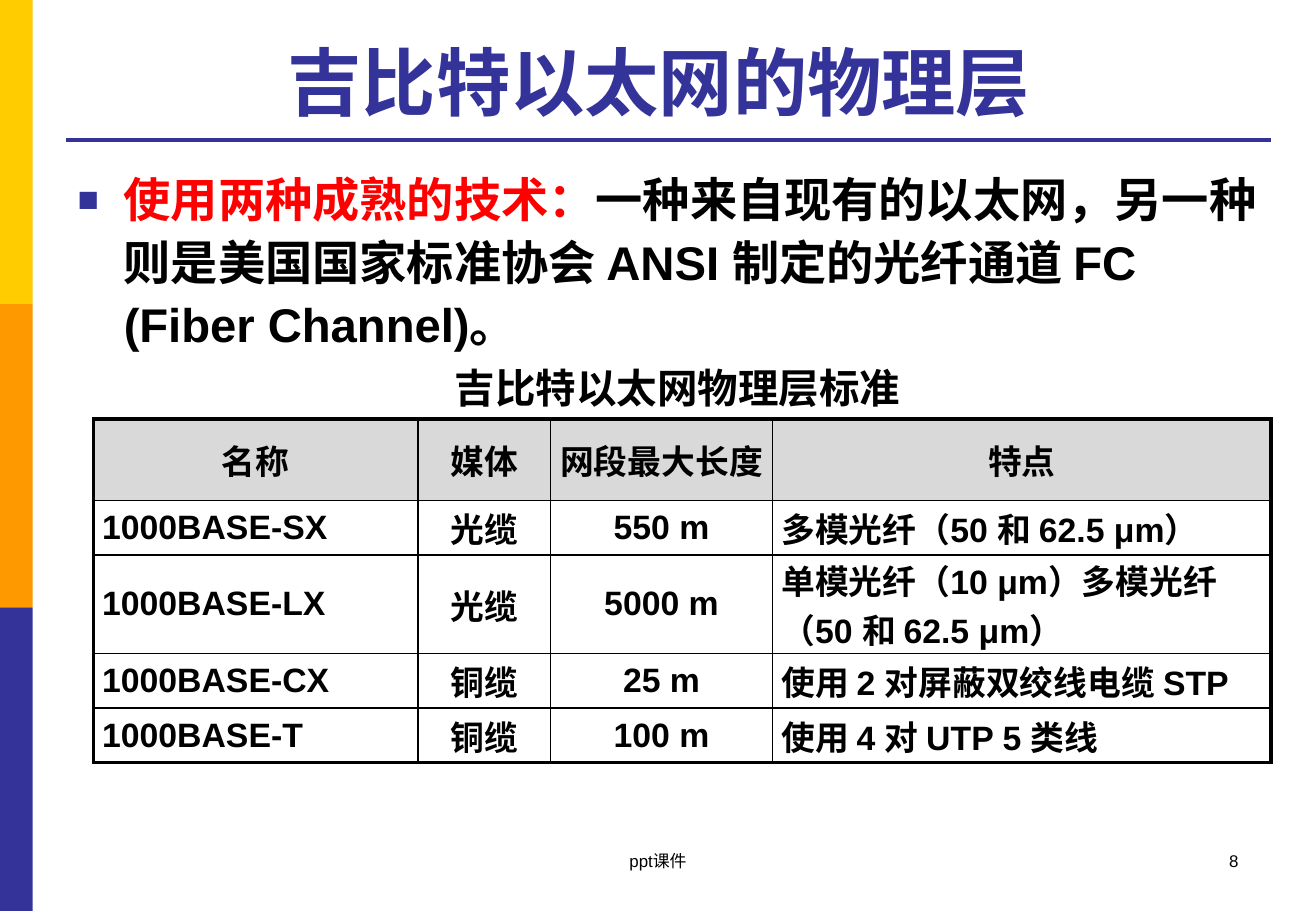
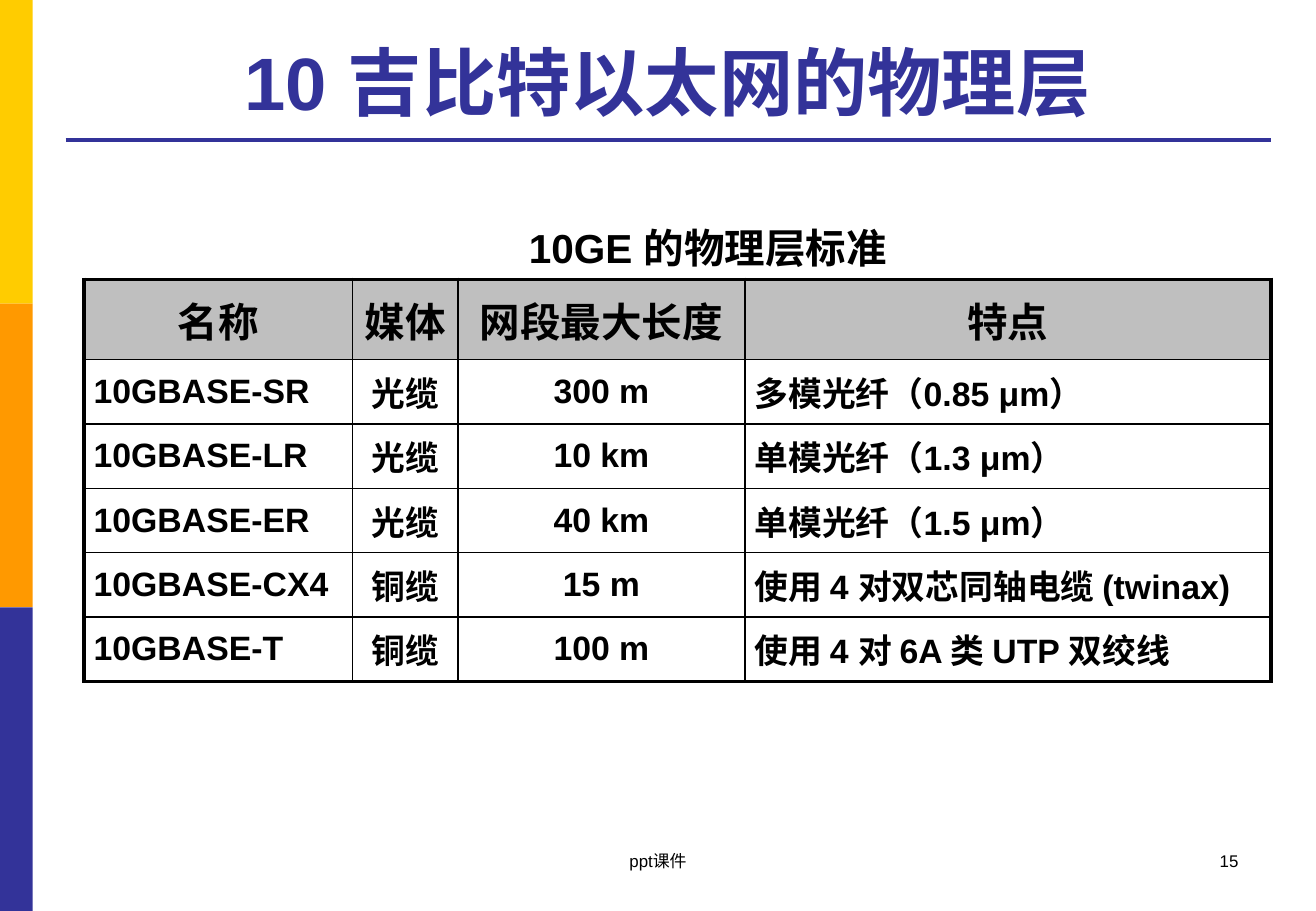
from lxml.etree import SubElement
from pptx import Presentation
from pptx.dml.color import RGBColor
from pptx.enum.shapes import MSO_CONNECTOR, MSO_SHAPE
from pptx.enum.text import MSO_ANCHOR, PP_ALIGN
from pptx.oxml.ns import qn
from pptx.util import Pt

PX = 9144  # EMU per px, 100 px to the inch
SLIDE_W, SLIDE_H = 1083, 750
FONT = "Arial"

BLACK = RGBColor(0x00, 0x00, 0x00)
RED = RGBColor(0xFF, 0x00, 0x00)
NAVY = RGBColor(0x33, 0x33, 0x99)
YELLOW = RGBColor(0xFF, 0xCC, 0x00)
ORANGE = RGBColor(0xFF, 0x99, 0x00)
LIGHT_GREY = RGBColor(0xD9, 0xD9, 0xD9)
MID_GREY = RGBColor(0xBF, 0xBF, 0xBF)

# Content
FOOTER = "ppt课件"
HEADINGS = ("名称", "媒体", "网段最大长度", "特点")
COLUMN_ALIGNS = (PP_ALIGN.LEFT, PP_ALIGN.CENTER, PP_ALIGN.CENTER, PP_ALIGN.LEFT)
SLIDES = [
    {
        "number": "8",
        "title": "吉比特以太网的物理层 ",
        "bullet": [
            ("使用两种成熟的技术：", RED),
            ("一种来自现有的以太网，另一种则是美国国家标准协会 ANSI 制定的光纤通道 FC "
             "(Fiber Channel)。", BLACK),
        ],
        "caption": ("吉比特以太网物理层标准", (282, 293, 551, 51)),
        "standards": [
            ("1000BASE-SX", "光缆", "550 m", "多模光纤（50 和 62.5 μm）"),
            ("1000BASE-LX", "光缆", "5000 m", "单模光纤（10 μm）多模光纤（50 和 62.5 μm）"),
            ("1000BASE-CX", "铜缆", "25 m", "使用 2 对屏蔽双绞线电缆 STP"),
            ("1000BASE-T", "铜缆", "100 m", "使用 4 对 UTP 5 类线"),
        ],
        "origin": (77, 345),
        "widths": (267, 109, 183, 410),
        "heights": (67, 45, 81, 45, 45),
        "heading_size": 20,
        "heading_fill": LIGHT_GREY,
        "margin": 7,
    },
    {
        "number": "15",
        "title": "10 吉比特以太网的物理层",
        "bullet": None,
        "caption": ("10GE 的物理层标准", (235, 178, 695, 51)),
        "standards": [
            ("10GBASE-SR", "光缆", "300 m", "多模光纤（0.85 μm）"),
            ("10GBASE-LR", "光缆", "10 km", "单模光纤（1.3 μm）"),
            ("10GBASE-ER", "光缆", "40 km", "单模光纤（1.5 μm）"),
            ("10GBASE-CX4", "铜缆", "15 m", "使用 4 对双芯同轴电缆 (twinax)"),
            ("10GBASE-T", "铜缆", "100 m", "使用 4 对 6A 类 UTP 双绞线"),
        ],
        "origin": (69, 230),
        "widths": (221, 87, 236, 433),
        "heights": (66,) + (53,) * 5,
        "heading_size": 24,
        "heading_fill": MID_GREY,
        "margin": 8,
    },
]


def emu(*lengths):
    return [length * PX for length in lengths]


def style(paragraph, size, bold=True, color=BLACK, align=PP_ALIGN.LEFT):
    paragraph.alignment = align
    font = paragraph.font
    font.name, font.size, font.bold = FONT, Pt(size), bold
    font.color.rgb = color


def add_text(slide, box, text, size, anchor=MSO_ANCHOR.TOP, **look):
    frame = slide.shapes.add_textbox(*emu(*box)).text_frame
    frame.word_wrap = True
    frame.vertical_anchor = anchor
    frame.text = text
    style(frame.paragraphs[0], size, **look)


def add_frame(slide, title, number):
    """Side bands, title with its rule, footer and slide number."""
    band_h = SLIDE_H // 3
    for i, color in enumerate((YELLOW, ORANGE, NAVY)):
        band = slide.shapes.add_shape(MSO_SHAPE.RECTANGLE, *emu(0, i * band_h, 27, band_h))
        band.shadow.inherit = False
        band.fill.solid()
        band.fill.fore_color.rgb = color
        band.line.fill.background()
    rule = slide.shapes.add_connector(MSO_CONNECTOR.STRAIGHT, *emu(54, 115, 1046, 115))
    rule.line.color.rgb = NAVY
    rule.line.width = Pt(2.25)
    SubElement(rule.element.spPr, qn("a:effectLst"))
    add_text(slide, (54, 21, 991, 87), title, 44, MSO_ANCHOR.BOTTOM,
             color=NAVY, align=PP_ALIGN.CENTER)
    add_text(slide, (776, 695, 253, 50), number, 10, bold=False, align=PP_ALIGN.RIGHT)
    add_text(slide, (370, 695, 343, 50), FOOTER, 10, bold=False, align=PP_ALIGN.CENTER)


def add_bullet(slide, parts):
    frame = slide.shapes.add_textbox(*emu(54, 131, 991, 540)).text_frame
    frame.word_wrap = True
    paragraph = frame.paragraphs[0]
    properties = paragraph._p.get_or_add_pPr()
    properties.set("marL", str(38 * PX))
    properties.set("indent", str(-38 * PX))
    SubElement(SubElement(properties, qn("a:buClr")), qn("a:srgbClr"), val=str(NAVY))
    SubElement(properties, qn("a:buSzPct"), val="75000")
    SubElement(properties, qn("a:buFont"), typeface=FONT)
    SubElement(properties, qn("a:buChar"), char="■")
    paragraph.line_spacing = 1.1
    style(paragraph, 28)
    for text, color in parts:
        run = paragraph.add_run()
        run.text = text
        run.font.color.rgb = color


def set_borders(cell, outer_sides):
    properties = cell._tc.get_or_add_tcPr()
    for side, is_outer in outer_sides.items():
        width = Pt(2.25 if is_outer else 1)
        line = SubElement(properties, qn(f"a:ln{side}"), w=str(width))
        SubElement(SubElement(line, qn("a:solidFill")), qn("a:srgbClr"), val=str(BLACK))


def add_standards(slide, content):
    rows = [HEADINGS] + content["standards"]
    widths, heights = content["widths"], content["heights"]
    box = (*content["origin"], sum(widths), sum(heights))
    table = slide.shapes.add_table(len(rows), len(widths), *emu(*box)).table
    table.first_row = table.horz_banding = False
    for column, width in zip(table.columns, emu(*widths)):
        column.width = width
    for row, height in zip(table.rows, emu(*heights)):
        row.height = height

    last_row, last_col = len(rows) - 1, len(widths) - 1
    for r, texts in enumerate(rows):
        for c, text in enumerate(texts):
            cell = table.cell(r, c)
            cell.text = text
            cell.vertical_anchor = MSO_ANCHOR.MIDDLE
            cell.margin_left = cell.margin_right = content["margin"] * PX
            cell.margin_top = cell.margin_bottom = 0
            set_borders(cell, {"L": c == 0, "R": c == last_col,
                               "T": r == 0, "B": r == last_row})
            if r == 0:
                cell.fill.solid()
                cell.fill.fore_color.rgb = content["heading_fill"]
                size, align = content["heading_size"], PP_ALIGN.CENTER
            else:
                cell.fill.background()
                size, align = 20, COLUMN_ALIGNS[c]
            style(cell.text_frame.paragraphs[0], size, align=align)


def main():
    deck = Presentation()
    deck.slide_width, deck.slide_height = emu(SLIDE_W, SLIDE_H)
    for content in SLIDES:
        slide = deck.slides.add_slide(deck.slide_layouts[6])
        add_frame(slide, content["title"], content["number"])
        if content["bullet"]:
            add_bullet(slide, content["bullet"])
        add_standards(slide, content)
        caption, box = content["caption"]
        add_text(slide, box, caption, 24, MSO_ANCHOR.MIDDLE, align=PP_ALIGN.CENTER)
    deck.save("out.pptx")


if __name__ == "__main__":
    main()
